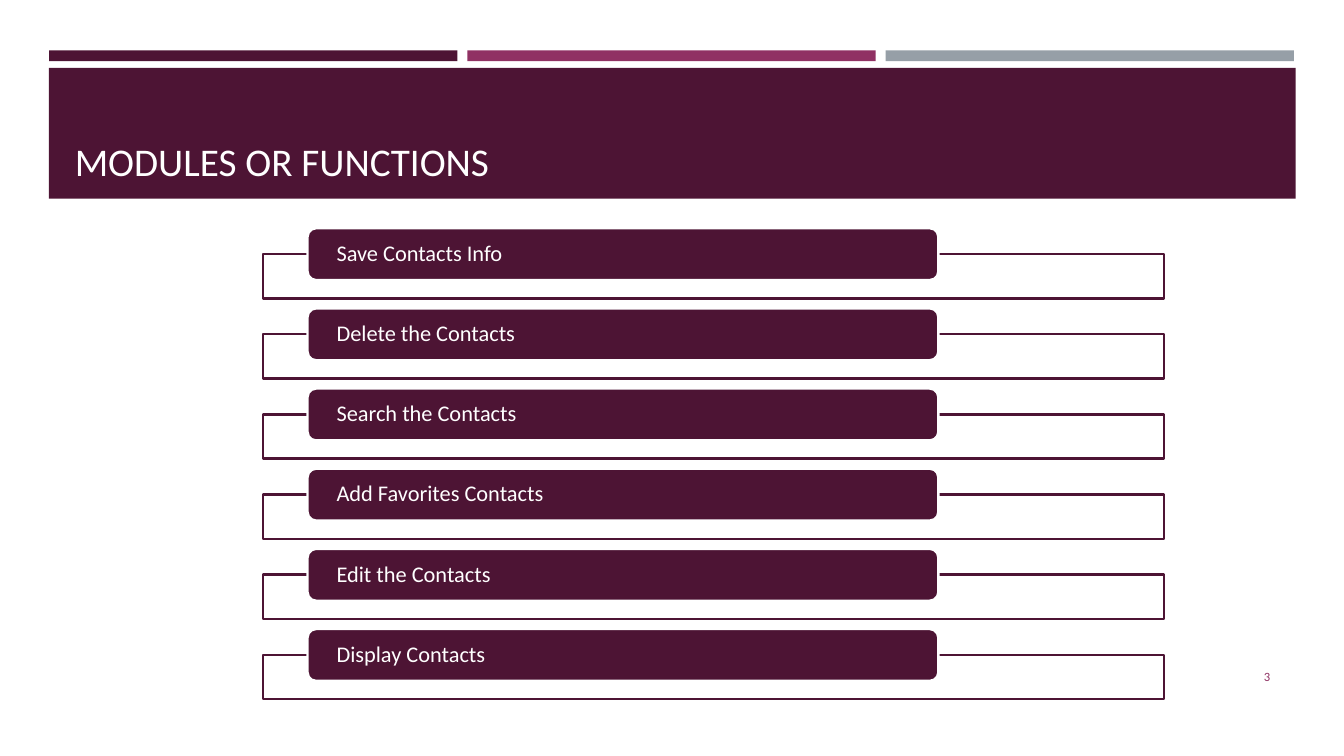
from lxml import etree
from pptx import Presentation
from pptx import util as u
from pptx.dml.color import RGBColor
from pptx.enum import shapes, text
from pptx.oxml.ns import qn

Cm, Pt = u.Cm, u.Pt
HUES = {"plum": "4D1434", "rose": "903163", "gray": "969FA7", "white": "FFFFFF"}


def add_box(kind, left, top, width, height, fill, line=None):
    box = slide.shapes.add_shape(kind, Cm(left), Cm(top), Cm(width), Cm(height))
    box.shadow.inherit = False
    box.fill.solid()
    box.fill.fore_color.rgb = RGBColor.from_string(HUES[fill])
    if line:
        box.line.color.rgb = RGBColor.from_string(HUES[line])
        box.line.width = Pt(1.75)
    else:
        box.line.fill.background()
    return box


def set_text(shape, words, size, hue, align, anchor):
    frame = shape.text_frame
    frame.text = words
    frame.word_wrap = True
    frame.auto_size = text.MSO_AUTO_SIZE.NONE
    frame.vertical_anchor = anchor
    para = frame.paragraphs[0]
    para.alignment = align
    para.font.name = "Calibri"
    para.font.size = Pt(size)
    para.font.color.rgb = RGBColor.from_string(HUES[hue])
    return frame


prs = Presentation()
prs.slide_width, prs.slide_height = Cm(33.87), Cm(19.05)
slide = prs.slides.add_slide(prs.slide_layouts[5])
RECT = shapes.MSO_SHAPE.RECTANGLE
ROUND = shapes.MSO_SHAPE.ROUNDED_RECTANGLE
LEFT, RIGHT = text.PP_ALIGN.LEFT, text.PP_ALIGN.RIGHT
MIDDLE, BOTTOM = text.MSO_ANCHOR.MIDDLE, text.MSO_ANCHOR.BOTTOM

# Top stripes
for i, hue in enumerate(["plum", "rose", "gray"]):
    add_box(RECT, 1.24 + i * 10.54, 1.27, 10.29, 0.27, hue)

# Title on its band
band = add_box(RECT, 1.23, 1.71, 31.42, 3.3, "plum")
title = slide.shapes.title
title.left, title.top, title.width, title.height = Cm(1.63), Cm(1.96), Cm(30.63), Cm(2.82)
set_text(title, "MODULES OR FUNCTIONS", 28, "white", LEFT, BOTTOM)
band.element.addnext(title.element)

# List of modules: a frame with a label over its top edge
names = ["Save Contacts Info", "Delete the Contacts", "Search the Contacts",
         "Add Favorites Contacts", "Edit the Contacts", "Display Contacts"]
for i, name in enumerate(names):
    drop = i * 2.02
    frame = add_box(RECT, 6.63, 6.4 + drop, 22.71, 1.12, "white", "plum")
    tint = frame.element.spPr.find(qn("a:solidFill"))[0]
    etree.SubElement(tint, qn("a:alpha"), val="90000")

    label = add_box(ROUND, 7.75, 5.75 + drop, 15.9, 1.31, "plum", "white")
    body = set_text(label, name, 16, "white", LEFT, MIDDLE)
    body.margin_left = body.margin_right = Cm(0.67)
    body.margin_top = body.margin_bottom = 0
    body.paragraphs[0].line_spacing = 0.9

# Slide number
num = slide.shapes.add_textbox(Cm(29.34), Cm(16.54), Cm(2.92), Cm(1.02))
set_text(num, "3", 9, "rose", RIGHT, MIDDLE)

prs.save("out.pptx")
